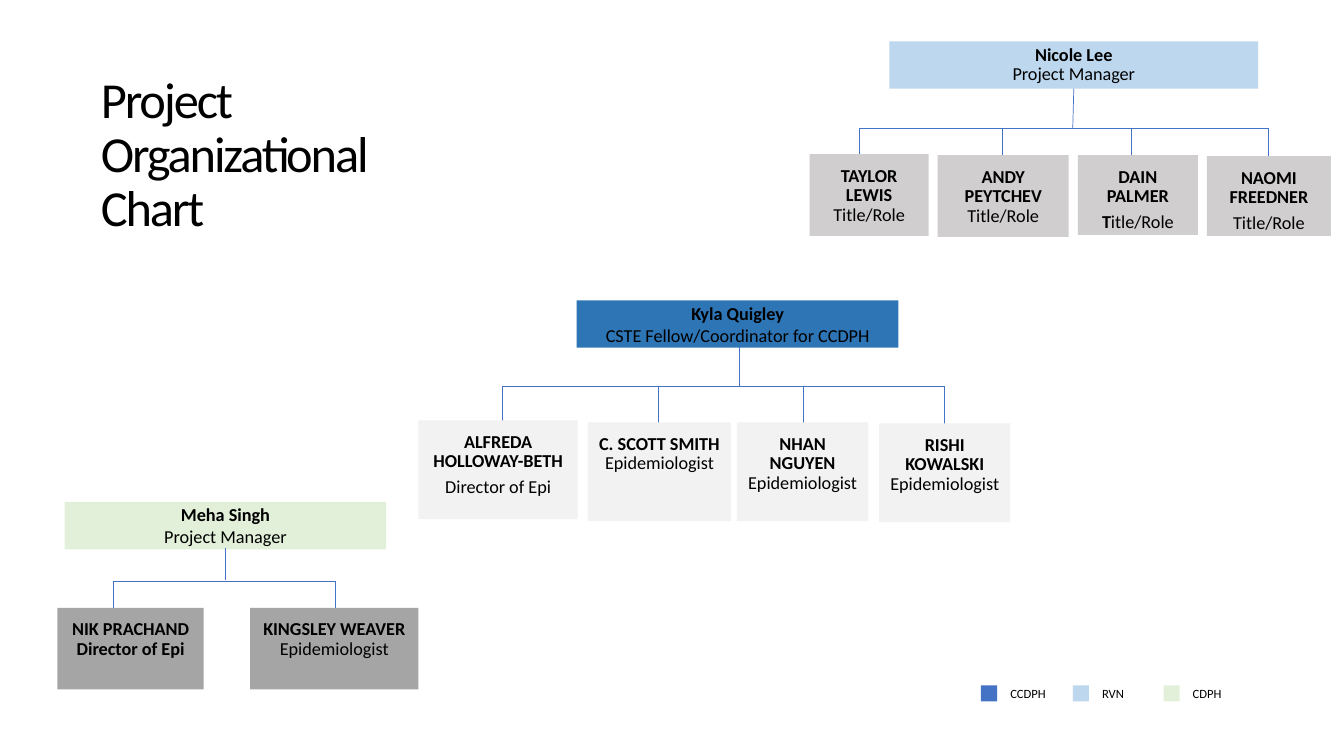
from dataclasses import dataclass

from lxml.etree import SubElement
from pptx import Presentation
from pptx.dml.color import RGBColor
from pptx.enum.shapes import MSO_CONNECTOR, MSO_SHAPE
from pptx.enum.text import MSO_ANCHOR, MSO_AUTO_SIZE, PP_ALIGN
from pptx.oxml.ns import qn
from pptx.util import Pt

PX = 9144  # EMU per px, 100 px to the inch


@dataclass(frozen=True)
class Theme:
    font: str = "Calibri"
    ink: str = "000000"
    line: str = "4472C4"
    ccdph: str = "4472C4"
    partner: str = "BDD7EE"
    cdph: str = "E2F0D9"
    coordinator: str = "2E75B6"
    partner_staff: str = "D0CECE"
    ccdph_staff: str = "F2F2F2"
    cdph_staff: str = "A5A5A5"
    title_size: int = 36
    box_size: int = 13
    legend_size: int = 9
    leading: float = 0.9
    gap: float = 4.5


theme = Theme()
deck = Presentation()
deck.slide_width, deck.slide_height = 1333 * PX, 750 * PX
page = deck.slides.add_slide(deck.slide_layouts[5])


def write(frame, specs, size, insets, anchor, leading=1.0, gap=0, align=PP_ALIGN.LEFT):
    """Write one paragraph per spec; text before the bar is bold, after it plain."""
    frame.word_wrap = True
    frame.auto_size = MSO_AUTO_SIZE.NONE
    frame.vertical_anchor = anchor
    frame.margin_left, frame.margin_top, frame.margin_right, frame.margin_bottom = (
        inset * PX for inset in insets)
    for index, spec in enumerate(specs):
        para = frame.add_paragraph() if index else frame.paragraphs[0]
        para.alignment, para.line_spacing = align, leading
        para.space_before, para.space_after = Pt(0), Pt(gap)
        strong, _, plain = spec.partition("|")
        for text, bold in ((strong, True), (plain, False)):
            for number, words in enumerate(text.split("\v")):
                if number:
                    para.add_line_break()
                if words:
                    span = para.add_run()
                    span.text = words
                    span.font.name, span.font.size, span.font.bold = theme.font, Pt(size), bold
                    span.font.color.rgb = RGBColor.from_string(theme.ink)
        # Line breaks take the size of the text around them
        for line_break in para._p.findall(qn("a:br")):
            SubElement(line_break, qn("a:rPr")).set("sz", str(size * 100))


def add_box(left, top, width, height, fill):
    box = page.shapes.add_shape(
        MSO_SHAPE.RECTANGLE, left * PX, top * PX, width * PX, height * PX)
    box.shadow.inherit = False
    box.fill.solid()
    box.fill.fore_color.rgb = RGBColor.from_string(fill)
    box.line.fill.background()
    return box


# Title
title = page.shapes.title
title.left, title.top, title.width, title.height = 100 * PX, 75 * PX, 319 * PX, 160 * PX
write(title.text_frame, ["|Project Organizational\vChart"], theme.title_size,
      (0, 0, 0, 0), MSO_ANCHOR.MIDDLE, theme.leading)
for span in title.text_frame.paragraphs[0].runs:
    span.font._element.set("spc", "-150")

# Legend
legend = [
    (973, 45, "CCDPH", theme.ccdph),
    (1064, 45, "RVN", theme.partner),
    (1154, 64, "CDPH", theme.cdph),
]
for left, width, label, fill in legend:
    add_box(left, 680, 16, 16, fill)
    caption = page.shapes.add_textbox((left + 29) * PX, 680 * PX, width * PX, 16 * PX)
    write(caption.text_frame, ["|" + label], theme.legend_size, (0, 0, 0, 0), MSO_ANCHOR.MIDDLE)

# Teams: lead bar, stem ends, rail height, drops, then staff as (drop x, box, text)
teams = [
    dict(lead=(882, 41, 366, 47), fill=theme.partner, leading=theme.leading,
         text=["Nicole Lee\v|Project Manager"],
         stem=(1065, 88, 1064, 127), rail=127, drop=39, staff_fill=theme.partner_staff,
         staff=[
             (852, (803, 153, 118, 81), ["TAYLOR LEWIS\v|Title/Role"]),
             (994, (930, 154, 130, 81), ["ANDY PEYTCHEV\v|Title/Role"]),
             (1122, (1069, 154, 119, 79), ["DAIN PALMER", "T|itle/Role"]),
             (1258, (1197, 155, 123, 79), ["NAOMI FREEDNER", "|Title/Role"]),
         ]),
    dict(lead=(572, 298, 319, 47), fill=theme.coordinator, leading=1.0,
         text=["Kyla Quigley", "|CSTE Fellow/Coordinator for CCDPH"],
         stem=(733, 344, 733, 383), rail=383, drop=61, staff_fill=theme.ccdph_staff,
         staff=[
             (498, (415, 417, 158, 98), ["ALFREDA HOLLOWAY-BETH", "|Director of Epi"]),
             (653, (583, 419, 142, 98), ["C. SCOTT SMITH\v|Epidemiologist"]),
             (797, (731, 419, 130, 98), ["NHAN NGUYEN\v|Epidemiologist"]),
             (937, (872, 420, 130, 98), ["RISHI KOWALSKI\v|Epidemiologist"]),
         ]),
    dict(lead=(64, 498, 319, 47), fill=theme.cdph, leading=1.0,
         text=["Meha Singh", "|Project Manager"],
         stem=(224, 544, 224, 575), rail=577, drop=40, staff_fill=theme.cdph_staff,
         staff=[
             (112, (57, 603, 145, 81), ["NIK PRACHAND\vDirector of Epi"]),
             (333, (248, 603, 167, 81), ["KINGSLEY WEAVER\v|Epidemiologist"]),
         ]),
]
for team in teams:
    # Lead bar
    bar = add_box(*team["lead"], team["fill"])
    write(bar.text_frame, team["text"], theme.box_size, (1, 1, 1, 1), MSO_ANCHOR.MIDDLE,
          team["leading"], align=PP_ALIGN.CENTER)

    # Stem, rail and drops, tucked behind the staff boxes
    rail, drops = team["rail"], [member[0] for member in team["staff"]]
    lines = [team["stem"], (drops[0], rail, drops[-1], rail)]
    lines += [(x, rail, x, rail + team["drop"]) for x in drops]
    for ends in lines:
        connector = page.shapes.add_connector(MSO_CONNECTOR.STRAIGHT, *(end * PX for end in ends))
        connector.line.color.rgb = RGBColor.from_string(theme.line)
        connector.line.width = Pt(0.5)
        SubElement(connector._element.spPr, qn("a:effectLst"))

    # Staff boxes
    for _, place, text in team["staff"]:
        card = add_box(*place, team["staff_fill"])
        write(card.text_frame, text, theme.box_size, (8, 12, 8, 0), MSO_ANCHOR.TOP,
              theme.leading, theme.gap, PP_ALIGN.CENTER)

deck.save("out.pptx")
